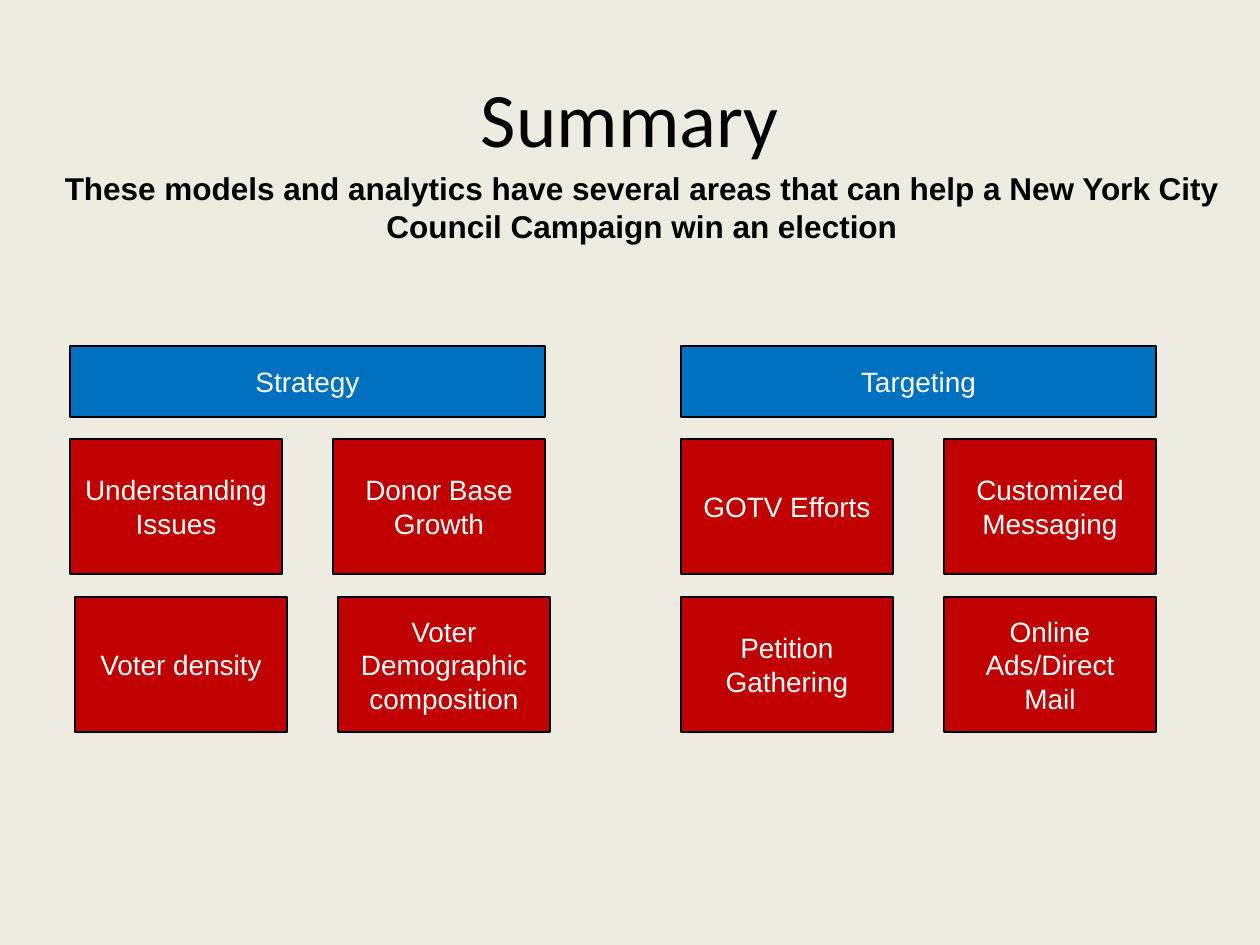
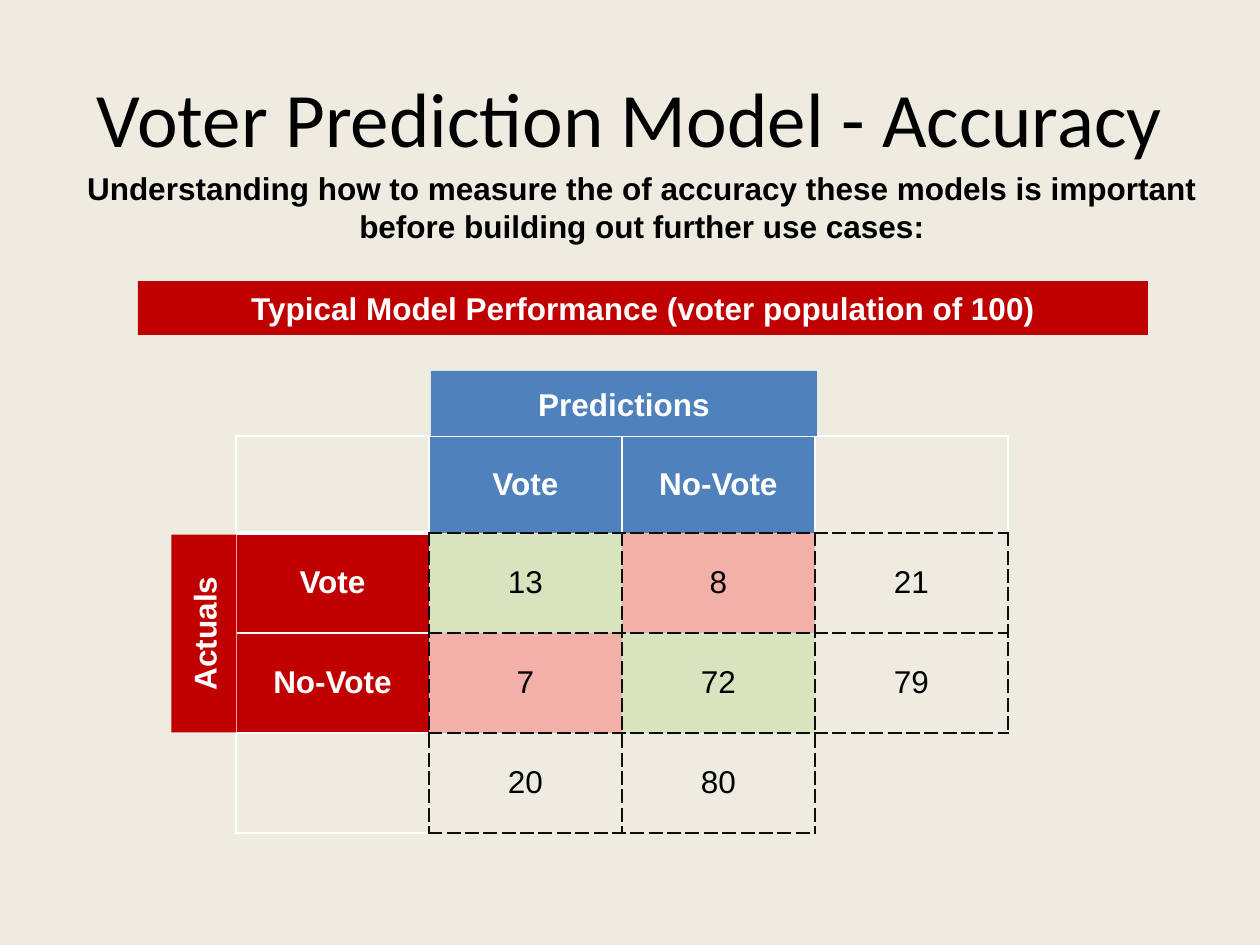
from dataclasses import dataclass

import lxml.etree
import pptx
import pptx.dml.color
import pptx.enum.shapes
import pptx.enum.text
import pptx.oxml.ns
import pptx.util


@dataclass(frozen=True)
class Theme:
    background: str = "EEECE1"
    black: str = "000000"
    white: str = "FFFFFF"
    red: str = "C00000"
    blue: str = "0070C0"
    soft_blue: str = "4F81BD"
    green: str = "D7E4BD"
    bright_red: str = "FF0000"
    dash: str = "0D0D0D"
    title_font: str = "Calibri"
    body_font: str = "Arial"
    title_size: int = 44
    body_size: int = 18
    box_size: int = 16


T = Theme()
PX = 914400 / 126
RGB = pptx.dml.color.RGBColor.from_string
CENTER = pptx.enum.text.PP_ALIGN.CENTER
TOP = pptx.enum.text.MSO_ANCHOR.TOP
MIDDLE = pptx.enum.text.MSO_ANCHOR.MIDDLE
qn = pptx.oxml.ns.qn


def style_text(tf, text, size, color, bold=False, font=T.body_font):
    tf.text = text
    for p in tf.paragraphs:
        p.alignment = CENTER
        for r in p.runs:
            r.font.name = font
            r.font.size = pptx.util.Pt(size)
            r.font.bold = bold
            r.font.color.rgb = RGB(color)


def add_box(s, rect, text, size, color, fill=None, line=None, bold=False,
            font=T.body_font, anchor=MIDDLE):
    """Add centred text at rect (px): a rectangle if filled, else a text box."""
    place = [round(n * PX) for n in rect]
    if fill:
        sp = s.shapes.add_shape(pptx.enum.shapes.MSO_SHAPE.RECTANGLE, *place)
        sp.shadow.inherit = False
        sp.fill.solid()
        sp.fill.fore_color.rgb = RGB(fill)
        if line:
            sp.line.color.rgb = RGB(line)
            sp.line.width = pptx.util.Pt(0.75)
        else:
            sp.line.fill.background()
    else:
        sp = s.shapes.add_textbox(*place)
    tf = sp.text_frame
    tf.word_wrap = True
    tf.vertical_anchor = anchor
    style_text(tf, text, size, color, bold, font)
    return sp


prs = pptx.Presentation()
prs.slide_width = round(1260 * PX)
prs.slide_height = round(945 * PX)

# Background, title and subtitle of both slides
headings = [
    ("Summary",
     "These models and analytics have several areas that can help "
     "a New York City Council Campaign win an election"),
    ("Voter Prediction Model - Accuracy",
     "Understanding how to measure the of accuracy these models is important "
     "before building out further use cases:"),
]
slides = []
for title, subtitle in headings:
    s = prs.slides.add_slide(prs.slide_layouts[6])
    s.background.fill.solid()
    s.background.fill.fore_color.rgb = RGB(T.background)
    add_box(s, (63, 38, 1134, 157), title, T.title_size, T.black, font=T.title_font)
    add_box(s, (50, 163, 1184, 89), subtitle, T.body_size, T.black, bold=True, anchor=TOP)
    slides.append(s)
summary, accuracy = slides

# Summary: two groups, each a header over a 2 x 2 grid; lower_shift nudges the second row
groups = [
    ("Strategy", 70, 5, ["Understanding Issues", "Donor Base Growth",
                         "Voter density", "Voter Demographic composition"]),
    ("Targeting", 681, 0, ["GOTV Efforts", "Customized Messaging",
                           "Petition\nGathering", "Online Ads/Direct Mail"]),
]
for header, left, lower_shift, areas in groups:
    add_box(summary, (left, 346, 475, 71), header, T.box_size, T.white, T.blue, T.black)
    for i, area in enumerate(areas):
        row, col = divmod(i, 2)
        rect = (left + col * 263 + row * lower_shift, 439 + row * 158, 212, 135)
        add_box(summary, rect, area, T.box_size, T.white, T.red, T.black)

# Accuracy: confusion matrix with totals
matrix = [
    ["", "Vote", "No-Vote", ""],
    ["Vote", "13", "8", "21"],
    ["No-Vote", "7", "72", "79"],
    ["", "20", "80", ""],
]
row_heights = [97, 100, 100, 100]
col_width = 193
frame = accuracy.shapes.add_table(
    4, 4, *[round(n * PX) for n in (236, 436, 4 * col_width, sum(row_heights))])
table = frame.table
table.first_row = False
table.horz_banding = False
for column in table.columns:
    column.width = round(col_width * PX)

for row, values in enumerate(matrix):
    table.rows[row].height = round(row_heights[row] * PX)
    for col, value in enumerate(values):
        cell = table.cell(row, col)
        cell.vertical_anchor = MIDDLE
        is_header = row == 0 or col == 0
        style_text(cell.text_frame, value, T.body_size,
                   T.white if is_header else T.black, bold=is_header)

        # White edges around the headers, dashed elsewhere, open last corner
        tcPr = cell._tc.get_or_add_tcPr()
        for side in "LRTB":
            thick = (row, col, side) == (0, 0, "B")
            ln = lxml.etree.SubElement(tcPr, qn("a:ln" + side),
                                       w=str(pptx.util.Pt(3 if thick else 1)))
            if row == col == 3 and side in "RB":
                lxml.etree.SubElement(ln, qn("a:noFill"))
                continue
            white = (row == 0 and side != "B") or (col == 0 and side != "R")
            solid = lxml.etree.SubElement(ln, qn("a:solidFill"))
            lxml.etree.SubElement(solid, qn("a:srgbClr"), val=T.white if white else T.dash)
            lxml.etree.SubElement(ln, qn("a:prstDash"), val="solid" if white else "sysDash")

        if row in (1, 2) and col in (1, 2):
            fill = T.green if row == col else T.bright_red
        elif value and is_header:
            fill = T.soft_blue if row == 0 else T.red
        else:
            cell.fill.background()
            continue
        cell.fill.solid()
        cell.fill.fore_color.rgb = RGB(fill)
        if fill == T.bright_red:
            lxml.etree.SubElement(tcPr.find(qn("a:solidFill"))[0], qn("a:alpha"), val="25000")

# Accuracy: labels around the matrix
labels = [
    ("Predictions", (431, 371, 386, 65), T.soft_blue, 0),
    ("Actuals", (105, 601, 198, 65), T.red, 270),
    ("Typical Model Performance (voter population of 100)", (138, 281, 1010, 54), T.red, 0),
]
for text, rect, fill, rotation in labels:
    sp = add_box(accuracy, rect, text, T.body_size, T.white, fill, bold=True)
    sp.rotation = rotation

prs.save("out.pptx")
